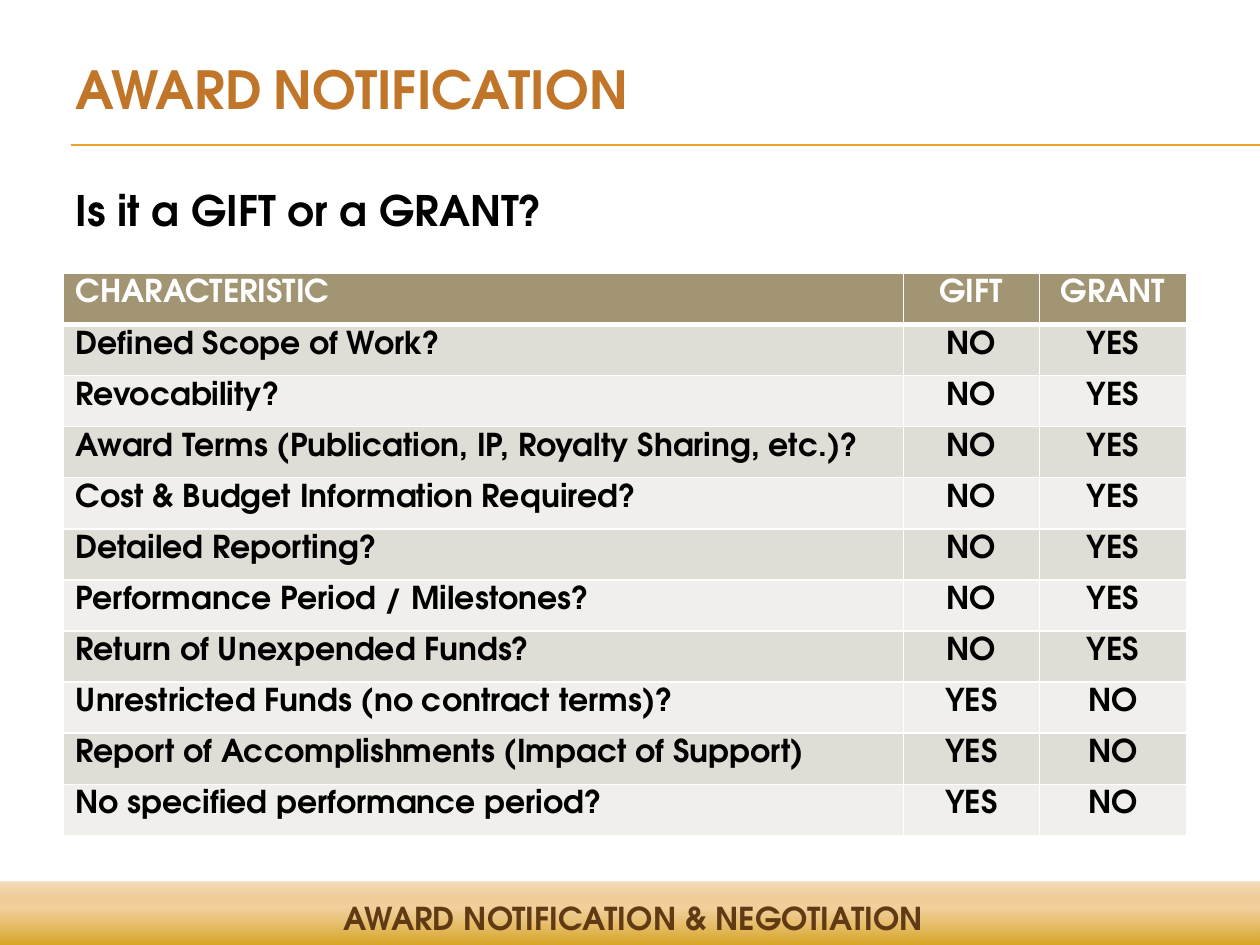
from dataclasses import dataclass

from lxml.etree import SubElement
from pptx import Presentation
from pptx.dml.color import RGBColor
from pptx.enum.shapes import MSO_CONNECTOR, MSO_SHAPE
from pptx.enum.text import MSO_ANCHOR, MSO_AUTO_SIZE, PP_ALIGN
from pptx.oxml import parse_xml
from pptx.oxml.ns import nsdecls, qn
from pptx.util import Cm, Pt


@dataclass(frozen=True)
class Theme:
    font: str = "TeX Gyre Adventor"
    title: str = "C17529"
    text: str = "000000"
    footer: str = "603A14"
    rule: str = "F0A22E"
    white: str = "FFFFFF"
    header_fill: str = "A19574"
    band_fills: tuple = ("E0DDD6", "F0EFEB")
    # Position, colour and opacity, positions and opacity in percent, bottom up
    footer_stops: tuple = ((0, "CC9900", 100), (65, "EFC17E", 75), (100, "D68000", 25))
    title_size: int = 30
    question_size: int = 24
    body_size: int = 18


THEME = Theme()

HEADER = ("CHARACTERISTIC", "GIFT", "GRANT")
GRANT_TRAITS = (
    "Defined Scope of Work?",
    "Revocability?",
    "Award Terms (Publication, IP, Royalty Sharing, etc.)?",
    "Cost & Budget Information Required?",
    "Detailed Reporting?",
    "Performance Period / Milestones?",
    "Return of Unexpended Funds?",
)
GIFT_TRAITS = (
    "Unrestricted Funds (no contract terms)?",
    "Report of Accomplishments (Impact of Support)",
    "No specified performance period?",
)
COLUMN_WIDTHS = (16.94, 2.74, 2.97)
ROW_HEIGHT = 1.03


def set_all(target, values):
    for name, value in values.items():
        setattr(target, name, value)


def write_text(frame, text, size, color, align=PP_ALIGN.LEFT):
    paragraph = frame.paragraphs[0]
    paragraph.alignment = align
    run = paragraph.add_run()
    run.text = text
    set_all(run.font, {"name": THEME.font, "size": Pt(size), "bold": True})
    run.font.color.rgb = RGBColor.from_string(color)
    return run


def add_text(slide, box, text, size, color, align=PP_ALIGN.LEFT, **frame_format):
    frame = slide.shapes.add_textbox(*map(Cm, box)).text_frame
    set_all(frame, {"word_wrap": True, **frame_format})
    return write_text(frame, text, size, color, align)


def add_rule(slide, left, right, top):
    line = slide.shapes.add_connector(
        MSO_CONNECTOR.STRAIGHT, Cm(left), Cm(top), Cm(right), Cm(top))
    line.line.color.rgb = RGBColor.from_string(THEME.rule)
    line.line.width = Pt(0.75)
    SubElement(line._element.spPr, qn("a:effectLst"))


def add_footer_band(slide, box):
    band = slide.shapes.add_shape(MSO_SHAPE.RECTANGLE, *map(Cm, box))
    band.shadow.inherit = False
    band.line.fill.background()
    stops = "".join(
        f'<a:gs pos="{position * 1000}"><a:srgbClr val="{color}">'
        f'<a:alpha val="{opacity * 1000}"/></a:srgbClr></a:gs>'
        for position, color, opacity in THEME.footer_stops)
    gradient = parse_xml(
        f'<a:gradFill {nsdecls("a")} rotWithShape="1"><a:gsLst>{stops}</a:gsLst>'
        '<a:lin ang="16200000" scaled="0"/></a:gradFill>')
    band._element.spPr.find(qn("a:prstGeom")).addnext(gradient)


def set_borders(cell, widths):
    properties = cell._tc.get_or_add_tcPr()
    for index, (side, width) in enumerate(widths.items()):
        border = parse_xml(
            f'<a:{side} {nsdecls("a")} w="{Pt(width)}"><a:solidFill>'
            f'<a:srgbClr val="{THEME.white}"/></a:solidFill></a:{side}>')
        properties.insert(index, border)


def format_cell(cell, text, fill, color, align, top, bottom):
    cell.fill.solid()
    cell.fill.fore_color.rgb = RGBColor.from_string(fill)
    write_text(cell.text_frame, text, THEME.body_size, color, align)
    set_borders(cell, {"lnL": 1, "lnR": 1, "lnT": top, "lnB": bottom})


def add_comparison(slide, left, top):
    rows = [HEADER]
    rows += [(trait, "NO", "YES") for trait in GRANT_TRAITS]
    rows += [(trait, "YES", "NO") for trait in GIFT_TRAITS]
    table = slide.shapes.add_table(
        len(rows), len(HEADER), Cm(left), Cm(top),
        Cm(sum(COLUMN_WIDTHS)), Cm(ROW_HEIGHT * len(rows))).table
    for column, width in zip(table.columns, COLUMN_WIDTHS):
        column.width = Cm(width)
    for index, values in enumerate(rows):
        table.rows[index].height = Cm(ROW_HEIGHT)
        is_header = index == 0
        fill = THEME.header_fill if is_header else THEME.band_fills[(index - 1) % 2]
        color = THEME.white if is_header else THEME.text
        for position, text in enumerate(values):
            align = PP_ALIGN.CENTER if position else PP_ALIGN.LEFT
            format_cell(table.cell(index, position), text, fill, color, align,
                        top=3 if index == 1 else 1, bottom=3 if is_header else 1)


def main():
    presentation = Presentation()
    set_all(presentation, {"slide_width": Cm(25.4), "slide_height": Cm(19.05)})
    slide = presentation.slides.add_slide(presentation.slide_layouts[6])

    # Rule under the title
    for top in (2.92, 2.94):
        add_rule(slide, 1.43, 25.4, top)

    # Footer
    add_footer_band(slide, (-0.03, 17.78, 25.48, 1.47))
    add_text(slide, (0.38, 17.99, 24.77, 1.02), "AWARD NOTIFICATION & NEGOTIATION",
             THEME.body_size, THEME.footer, PP_ALIGN.CENTER,
             auto_size=MSO_AUTO_SIZE.SHAPE_TO_FIT_TEXT)

    # Title and question
    title = add_text(slide, (1.27, 0.76, 22.43, 1.78), "AWARD NOTIFICATION",
                     THEME.title_size, THEME.title, vertical_anchor=MSO_ANCHOR.BOTTOM)
    title.font._element.set("cap", "small")
    add_text(slide, (1.27, 3.6, 23.29, 1.27), "Is it a GIFT or a GRANT?",
             THEME.question_size, THEME.text,
             auto_size=MSO_AUTO_SIZE.SHAPE_TO_FIT_TEXT)

    # Gift and grant table
    add_comparison(slide, 1.27, 5.51)

    presentation.save("out.pptx")


if __name__ == "__main__":
    main()
